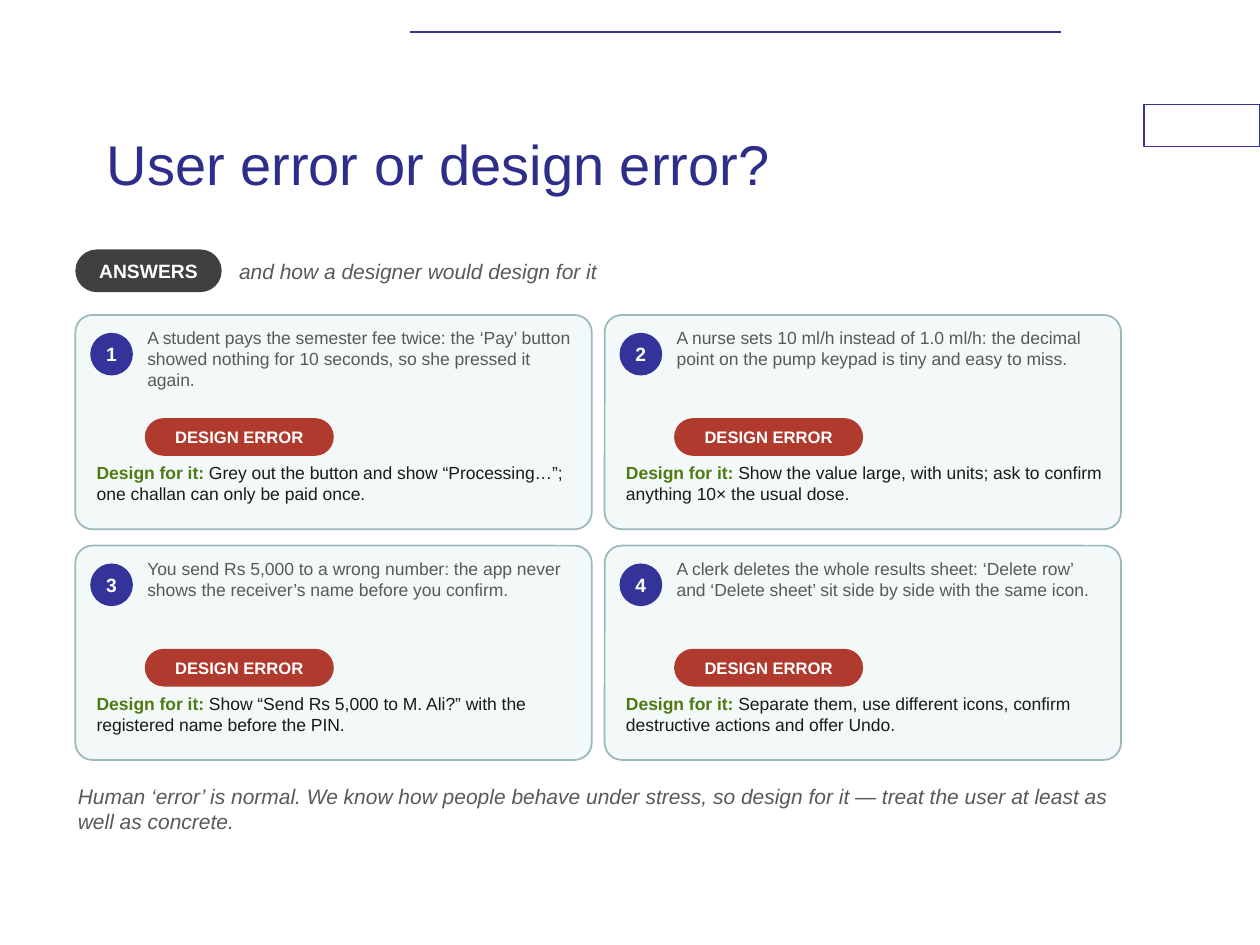
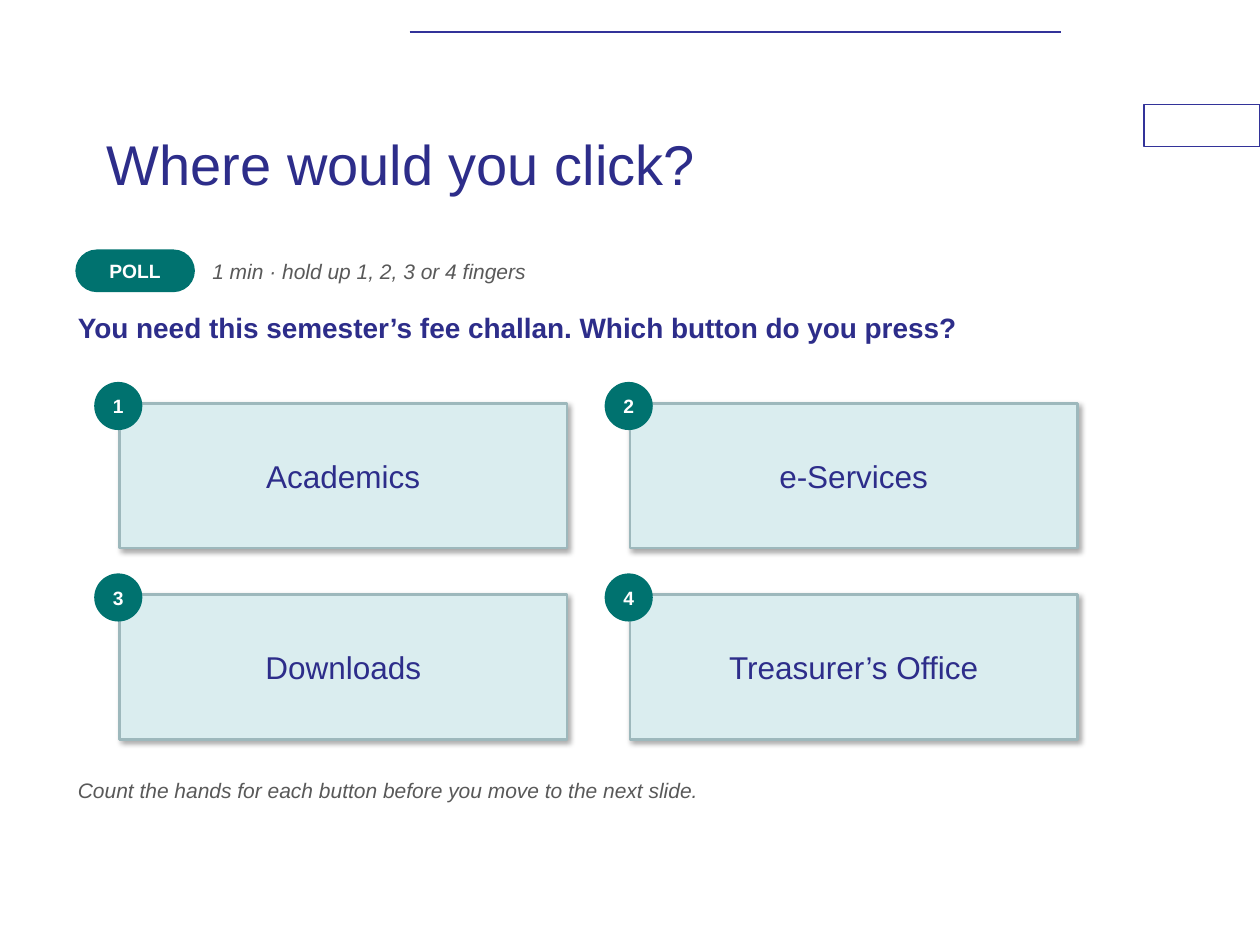
from lxml.etree import SubElement
from pptx import Presentation
from pptx.dml.color import RGBColor
from pptx.enum.shapes import MSO_CONNECTOR, MSO_SHAPE
from pptx.enum.text import MSO_ANCHOR, MSO_AUTO_SIZE, PP_ALIGN
from pptx.oxml.ns import qn
from pptx.util import Cm, Pt

# Palette
INDIGO, HEADING, TEAL = "333399", "2D2D8A", "00726F"
CHARCOAL, GREY, INK, WHITE = "404040", "595959", "1A1A1A", "FFFFFF"
RED, GREEN = "B03A2E", "4E7A12"
CARD_FILL, BUTTON_FILL, EDGE = "F3F8F9", "DAEDEF", "9DB8BC"

# Shared margins in centimetres
LEFT, CONTENT_WIDTH = 1.52, 21.08


def rgb(hex_colour):
    return RGBColor.from_string(hex_colour)


def styled(text, size, colour, bold=False, italic=False):
    return text, size, colour, bold, italic


def grid(left, top, pitch_x, pitch_y, entries, columns=2):
    """Yield number, left, top and entry for each cell, row by row."""
    for index, entry in enumerate(entries):
        row, column = divmod(index, columns)
        yield index + 1, left + column * pitch_x, top + row * pitch_y, entry


class Deck:
    font = "Arial"

    def __init__(self):
        self.presentation = Presentation()
        self.presentation.slide_width = Cm(25.4)
        self.presentation.slide_height = Cm(19.05)
        self.slide = None

    def new_slide(self, heading):
        layout = self.presentation.slide_layouts.get_by_name("Title Only")
        self.slide = self.presentation.slides.add_slide(layout)
        # Corner frame and top rule
        self.shape(MSO_SHAPE.RECTANGLE, 23.06, 2.11, 2.34, 0.84, WHITE, INDIGO, 0.75)
        self.rule(8.26, 0.64, 21.39, INDIGO)
        # Title
        title = self.slide.shapes.title
        title.left, title.top, title.width, title.height = (
            Cm(1.9), Cm(1.7), Cm(19.05), Cm(3.18))
        self.fill_text(title.text_frame, [styled(heading, 32, HEADING)],
                       inset=0.25, anchor=MSO_ANCHOR.MIDDLE)

    def fill_text(self, frame, runs, inset=0.05, align=PP_ALIGN.LEFT,
                  anchor=MSO_ANCHOR.TOP):
        frame.word_wrap = True
        frame.auto_size = MSO_AUTO_SIZE.NONE
        frame.vertical_anchor = anchor
        frame.margin_left = frame.margin_right = Cm(inset)
        frame.margin_top = frame.margin_bottom = Cm(inset)
        paragraph = frame.paragraphs[0]
        paragraph.alignment = align
        for text, size, colour, bold, italic in runs:
            piece = paragraph.add_run()
            piece.text = text
            piece.font.name = self.font
            piece.font.size = Pt(size)
            piece.font.color.rgb = rgb(colour)
            piece.font.bold = bold
            piece.font.italic = italic

    def text(self, left, top, width, height, runs, anchor=MSO_ANCHOR.TOP):
        box = self.slide.shapes.add_textbox(Cm(left), Cm(top), Cm(width), Cm(height))
        self.fill_text(box.text_frame, runs, anchor=anchor)

    def shape(self, kind, left, top, width, height, fill, line=None, line_width=1,
              corner=None, label=None, inset=0.0):
        shape = self.slide.shapes.add_shape(
            kind, Cm(left), Cm(top), Cm(width), Cm(height))
        shape.shadow.inherit = False
        shape.fill.solid()
        shape.fill.fore_color.rgb = rgb(fill)
        if line:
            shape.line.color.rgb = rgb(line)
            shape.line.width = Pt(line_width)
        else:
            shape.line.fill.background()
        if corner is not None:
            shape.adjustments[0] = corner
        if label:
            self.fill_text(shape.text_frame, [label], inset,
                           PP_ALIGN.CENTER, MSO_ANCHOR.MIDDLE)
        return shape

    def rule(self, left, top, right, colour):
        line = self.slide.shapes.add_connector(
            MSO_CONNECTOR.STRAIGHT, Cm(left), Cm(top), Cm(right), Cm(top))
        line.line.color.rgb = rgb(colour)
        line.line.width = Pt(1)
        SubElement(line.element.spPr, qn("a:effectLst"))

    def pill(self, left, top, width, height, label, size, fill):
        self.shape(MSO_SHAPE.ROUNDED_RECTANGLE, left, top, width, height, fill,
                   corner=0.5, label=styled(label, size, WHITE, bold=True), inset=0.08)

    def number_disc(self, left, top, diameter, number, fill):
        self.shape(MSO_SHAPE.OVAL, left, top, diameter, diameter, fill,
                   label=styled(str(number), 11, WHITE, bold=True))

    def activity(self, label, width, fill, hint):
        """Pill naming the activity, with a hint beside it."""
        top, height = 5.03, 0.86
        self.pill(LEFT, top, width, height, label, 11, fill)
        hint_left = LEFT + width + 0.3
        self.text(hint_left, top, LEFT + CONTENT_WIDTH - hint_left, height,
                  [styled(hint, 12, GREY, italic=True)], MSO_ANCHOR.MIDDLE)

    def closing(self, top, remark):
        self.text(LEFT, top, CONTENT_WIDTH, 1.27,
                  [styled(remark, 12, GREY, italic=True)])

    def answer_card(self, number, left, top, scenario, remedy):
        self.shape(MSO_SHAPE.ROUNDED_RECTANGLE, left, top, 10.41, 4.32,
                   CARD_FILL, EDGE, corner=0.08)
        self.number_disc(left + 0.3, top + 0.36, 0.86, number, INDIGO)
        self.text(left + 1.4, top + 0.2, 8.76, 1.73, [styled(scenario, 10, GREY)])
        self.pill(left + 1.4, top + 2.08, 3.81, 0.76, "DESIGN ERROR", 9.5, RED)
        self.text(left + 0.38, top + 2.92, 9.78, 1.32,
                  [styled("Design for it: ", 10, GREEN, bold=True),
                   styled(remedy, 10, INK)])

    def poll_button(self, number, left, top, caption):
        button = self.shape(MSO_SHAPE.RECTANGLE, left, top, 9.02, 2.92, BUTTON_FILL,
                            EDGE, 1.5, label=styled(caption, 18, HEADING), inset=0.25)
        self.drop_shadow(button)
        self.number_disc(left - 0.51, top - 0.43, 0.97, number, TEAL)

    def drop_shadow(self, shape):
        effects = shape.element.spPr.find(qn("a:effectLst"))
        shadow = SubElement(effects, qn("a:outerShdw"), blurRad=str(Pt(3)),
                            dist=str(Pt(2)), dir=str(45 * 60000),
                            algn="tl", rotWithShape="0")
        colour = SubElement(shadow, qn("a:srgbClr"), val="000000")
        SubElement(colour, qn("a:alpha"), val="35000")


ANSWERS = [
    ("A student pays the semester fee twice: the ‘Pay’ button showed nothing "
     "for 10 seconds, so she pressed it again.",
     "Grey out the button and show “Processing…”; one challan can only be paid once."),
    ("A nurse sets 10 ml/h instead of 1.0 ml/h: the decimal point on the pump "
     "keypad is tiny and easy to miss.",
     "Show the value large, with units; ask to confirm anything 10× the usual dose."),
    ("You send Rs 5,000 to a wrong number: the app never shows the receiver’s "
     "name before you confirm.",
     "Show “Send Rs 5,000 to M. Ali?” with the registered name before the PIN."),
    ("A clerk deletes the whole results sheet: ‘Delete row’ and ‘Delete sheet’ "
     "sit side by side with the same icon.",
     "Separate them, use different icons, confirm destructive actions and offer Undo."),
]
BUTTONS = ["Academics", "e-Services", "Downloads", "Treasurer’s Office"]


def main():
    deck = Deck()

    # Answers: four cases and their remedies
    deck.new_slide("User error or design error?")
    deck.activity("ANSWERS", 2.95, CHARCOAL, "and how a designer would design for it")
    for number, left, top, (scenario, remedy) in grid(LEFT, 6.35, 10.67, 4.65, ANSWERS):
        deck.answer_card(number, left, top, scenario, remedy)
    deck.closing(15.75, "Human ‘error’ is normal. We know how people behave under stress, "
                        "so design for it — treat the user at least as well as concrete.")

    # Poll: four buttons to choose from
    deck.new_slide("Where would you click?")
    deck.activity("POLL", 2.41, TEAL, "1 min · hold up 1, 2, 3 or 4 fingers")
    deck.text(LEFT, 6.22, CONTENT_WIDTH, 1.14, [
        styled("You need this semester’s fee challan. Which button do you press?",
               16, HEADING, bold=True)])
    for number, left, top, caption in grid(2.41, 8.13, 10.29, 3.86, BUTTONS):
        deck.poll_button(number, left, top, caption)
    deck.closing(15.62, "Count the hands for each button before you move to the next slide.")

    deck.presentation.save("out.pptx")


if __name__ == "__main__":
    main()
